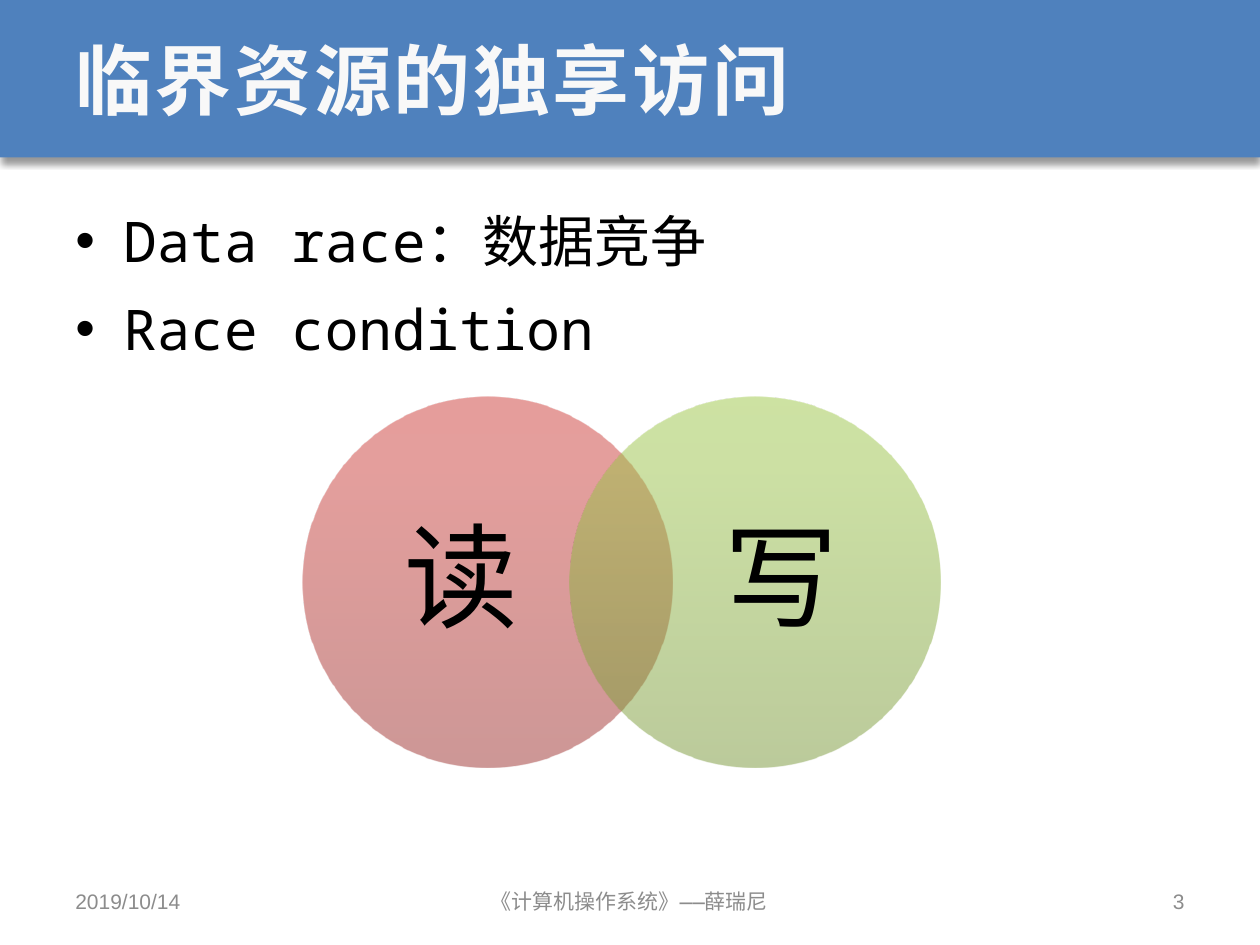
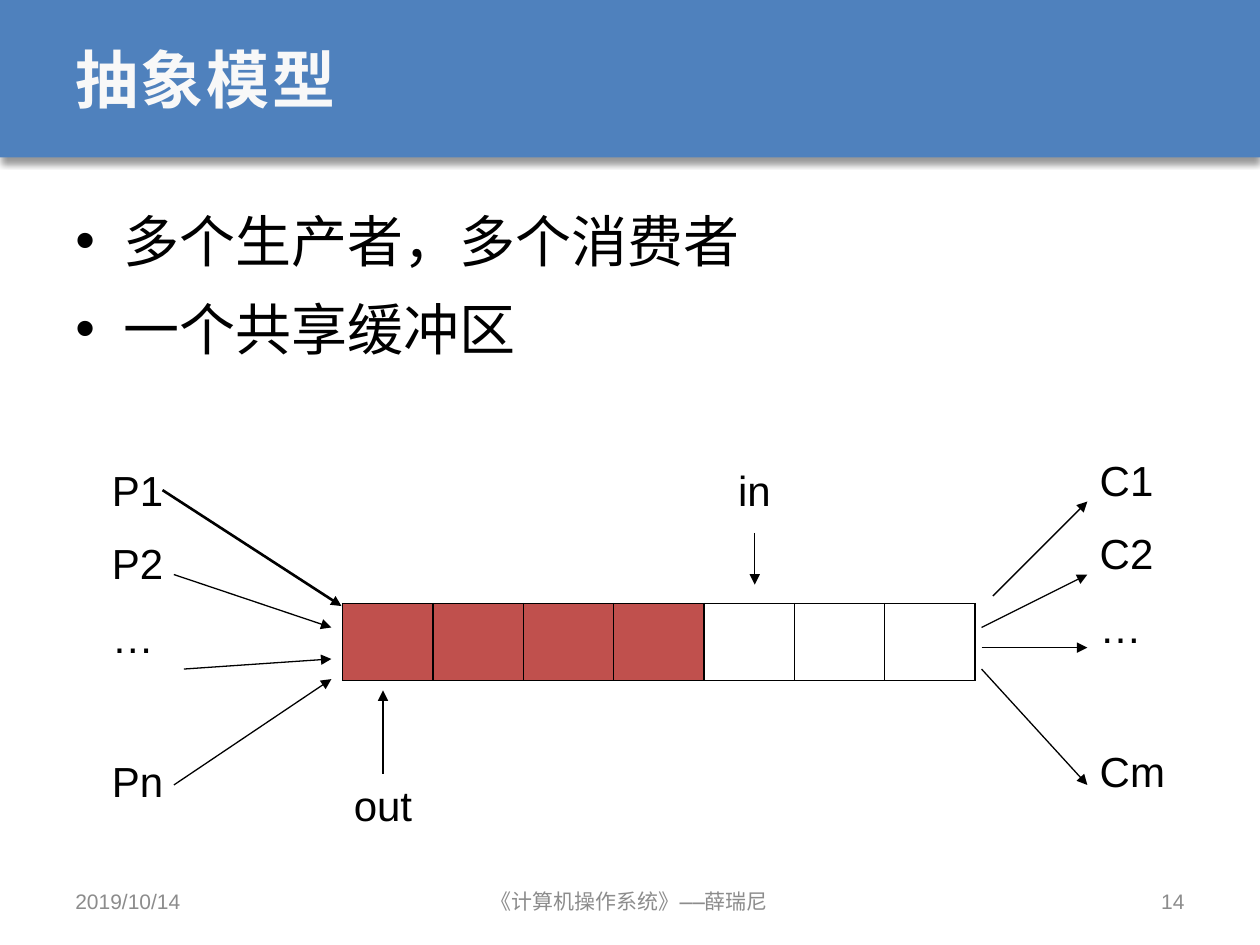
from dataclasses import dataclass

from lxml import etree
from pptx import Presentation
from pptx.dml.color import RGBColor
from pptx.enum.shapes import MSO_CONNECTOR as CONN, MSO_SHAPE as SHAPE
from pptx.enum.text import MSO_ANCHOR as ANCHOR, PP_ALIGN as ALIGN
from pptx.oxml import parse_xml
from pptx.oxml.ns import nsdecls, qn
from pptx.util import Inches, Pt


@dataclass(frozen=True)
class Theme:
    band: str = "4F81BD"
    title: str = "F8F8F8"
    ink: str = "000000"
    muted: str = "8C8C8C"
    full: str = "C0504D"
    empty: str = "FFFFFF"
    red: tuple = ((0, "9C2F2D"), (80, "CB3E3A"), (100, "CE3B37"))
    green: tuple = ((0, "779737"), (80, "9BC348"), (100, "9DC746"))
    mono: str = "Noto Sans Mono"
    sans: str = "Arial"
    title_size: int = 44
    body_size: int = 32
    label_size: int = 24
    venn_size: int = 65
    footer_size: int = 12


class Deck:
    def __init__(self, theme):
        self.theme = theme
        self.prs = Presentation()
        self.prs.slide_width, self.prs.slide_height = Inches(10), Inches(7.5)
        self.slide = None

    def add_slide(self, title, number, title_size=None):
        t = self.theme
        self.slide = self.prs.slides.add_slide(self.prs.slide_layouts[6])
        self.band()
        tf = self.text((0.5, 0, 9, 1.25), [title], title_size or t.title_size, t.title,
                       t.mono, anchor=ANCHOR.MIDDLE)
        r = tf.paragraphs[0].runs[0]
        r.font.bold = True
        r.font._element.set("spc", "150")
        footers = (
            (0.5, 2.33, "2019/10/14", t.sans, ALIGN.LEFT),
            (2.83, 4.33, "《计算机操作系统》——薛瑞尼", t.mono, ALIGN.CENTER),
            (7.17, 2.33, str(number), t.sans, ALIGN.RIGHT),
        )
        for left, width, words, font, align in footers:
            self.text((left, 6.95, width, 0.4), [words], t.footer_size, t.muted, font,
                      align, ANCHOR.MIDDLE)

    def band(self):
        sp = self.shape(SHAPE.RECTANGLE, (0, 0, 10, 1.25))
        sp.fill.solid()
        sp.fill.fore_color.rgb = RGBColor.from_string(self.theme.band)
        effects = sp._element.spPr.find(qn("a:effectLst"))
        effects.append(parse_xml(
            f'<a:outerShdw {nsdecls("a")} blurRad="{Pt(4)}" dist="{Pt(3)}" dir="5400000" '
            'rotWithShape="0"><a:srgbClr val="000000"><a:alpha val="40000"/></a:srgbClr>'
            '</a:outerShdw>'))

    def shape(self, kind, box):
        sp = self.slide.shapes.add_shape(kind, *map(Inches, box))
        sp.shadow.inherit = False
        sp.line.fill.background()
        return sp

    def text(self, box, lines, size, color=None, font=None, align=ALIGN.LEFT,
             anchor=ANCHOR.TOP, before=0, spacing=None, bullets=False, inset=None):
        t = self.theme
        tf = self.slide.shapes.add_textbox(*map(Inches, box)).text_frame
        tf.word_wrap = True
        tf.vertical_anchor = anchor
        if inset is not None:
            tf.margin_left = tf.margin_right = tf.margin_top = tf.margin_bottom = Inches(inset)
        tf.text = "\n".join(lines)
        for i, p in enumerate(tf.paragraphs):
            p.alignment = align
            if spacing:
                p.line_spacing = spacing
            if before and i:
                p.space_before = Pt(before)
            if bullets:
                pPr = p._p.get_or_add_pPr()
                pPr.set("marL", str(Inches(0.38)))
                pPr.set("indent", str(-Inches(0.38)))
                etree.SubElement(pPr, qn("a:buFont"), typeface=t.sans)
                etree.SubElement(pPr, qn("a:buChar"), char="•")
            for r in p.runs:
                r.font.size = Pt(size)
                r.font.name = font or t.sans
                r.font.color.rgb = RGBColor.from_string(color or t.ink)
                etree.SubElement(r.font._element, qn("a:ea"), typeface=t.mono)
        return tf

    def body(self, lines):
        self.text((0.5, 1.48, 9, 5.33), lines, self.theme.body_size, font=self.theme.mono,
                  before=4.3, spacing=1.2, bullets=True)

    def label(self, box, lines):
        return self.text(box, lines, self.theme.label_size, before=13)

    def venn_circle(self, left, label_left, word, stops):
        sp = self.shape(SHAPE.OVAL, (left, 3.15, 2.94, 2.94))
        marks = "".join(
            f'<a:gs pos="{pos * 1000}"><a:srgbClr val="{color}"><a:alpha val="50000"/>'
            '</a:srgbClr></a:gs>' for pos, color in stops)
        sp._element.spPr.find(qn("a:prstGeom")).addnext(parse_xml(
            f'<a:gradFill {nsdecls("a")} rotWithShape="1"><a:gsLst>{marks}</a:gsLst>'
            '<a:lin ang="16200000" scaled="0"/></a:gradFill>'))
        self.text((label_left, 3.5, 1.7, 2.25), [word], self.theme.venn_size,
                  align=ALIGN.CENTER, anchor=ANCHOR.MIDDLE, spacing=0.9, inset=0)

    def arrow(self, x1, y1, x2, y2, width=0.75):
        cx = self.slide.shapes.add_connector(CONN.STRAIGHT, *map(Inches, (x1, y1, x2, y2)))
        cx.line.width = Pt(width)
        cx.line.color.rgb = RGBColor.from_string(self.theme.ink)
        etree.SubElement(cx.line._get_or_add_ln(), qn("a:tailEnd"), type="triangle")
        etree.SubElement(cx._element.spPr, qn("a:effectLst"))

    def buffer(self, box, colors):
        frame = self.slide.shapes.add_table(1, len(colors), *map(Inches, box))
        table = frame.table
        table.first_row = table.horz_banding = False
        for i, color in enumerate(colors):
            table.columns[i].width = Inches(box[2] / len(colors))
            cell = table.cell(0, i)
            cell.fill.solid()
            cell.fill.fore_color.rgb = RGBColor.from_string(color)
            tcPr = cell._tc.get_or_add_tcPr()
            for n, side in enumerate(("lnL", "lnR", "lnT", "lnB")):
                tcPr.insert(n, parse_xml(
                    f'<a:{side} {nsdecls("a")} w="{Pt(1)}"><a:solidFill>'
                    f'<a:srgbClr val="{self.theme.ink}"/></a:solidFill></a:{side}>'))


def exclusive_access(deck):
    deck.add_slide("临界资源的独享访问", 3)
    deck.body(["Data race：数据竞争", "Race condition"])
    deck.venn_circle(2.4, 2.81, "读", deck.theme.red)
    deck.venn_circle(4.52, 5.35, "写", deck.theme.green)


def abstract_model(deck):
    t = deck.theme
    deck.add_slide("抽象模型", 14, title_size=36)
    deck.body(["多个生产者，多个消费者", "一个共享缓冲区"])
    for box, names in (((0.79, 3.64, 0.75, 2.93), ["P1", "P2", "…", "Pn"]),
                       ((8.63, 3.56, 0.83, 2.93), ["C1", "C2", "…", "Cm"])):
        deck.label(box, names).paragraphs[-1].space_before = Pt(53.6)
    deck.label((5.76, 3.64, 0.46, 0.5), ["in"])
    deck.label((2.71, 6.14, 1, 0.5), ["out"])
    deck.buffer((2.72, 4.79, 5.02, 0.61), [t.full] * 4 + [t.empty] * 3)
    deck.arrow(1.29, 3.89, 2.71, 4.81, 1.5)
    producers = ((1.38, 4.56, 4.98), (1.46, 5.31, 5.23), (1.38, 6.23, 5.39))
    for x, start, end in producers:
        deck.arrow(x, start, 2.63, end)
    consumers = ((7.88, 4.73, 3.98), (7.79, 4.98, 4.56), (7.79, 5.14, 5.14), (7.79, 5.31, 6.23))
    for x, start, end in consumers:
        deck.arrow(x, start, 8.63, end)
    deck.arrow(5.99, 4.23, 5.99, 4.64)
    deck.arrow(3.04, 6.14, 3.04, 5.48)


def main():
    """Build the two slides on shared resources and save them."""
    deck = Deck(Theme())
    exclusive_access(deck)
    abstract_model(deck)
    deck.prs.save("out.pptx")


if __name__ == "__main__":
    main()
